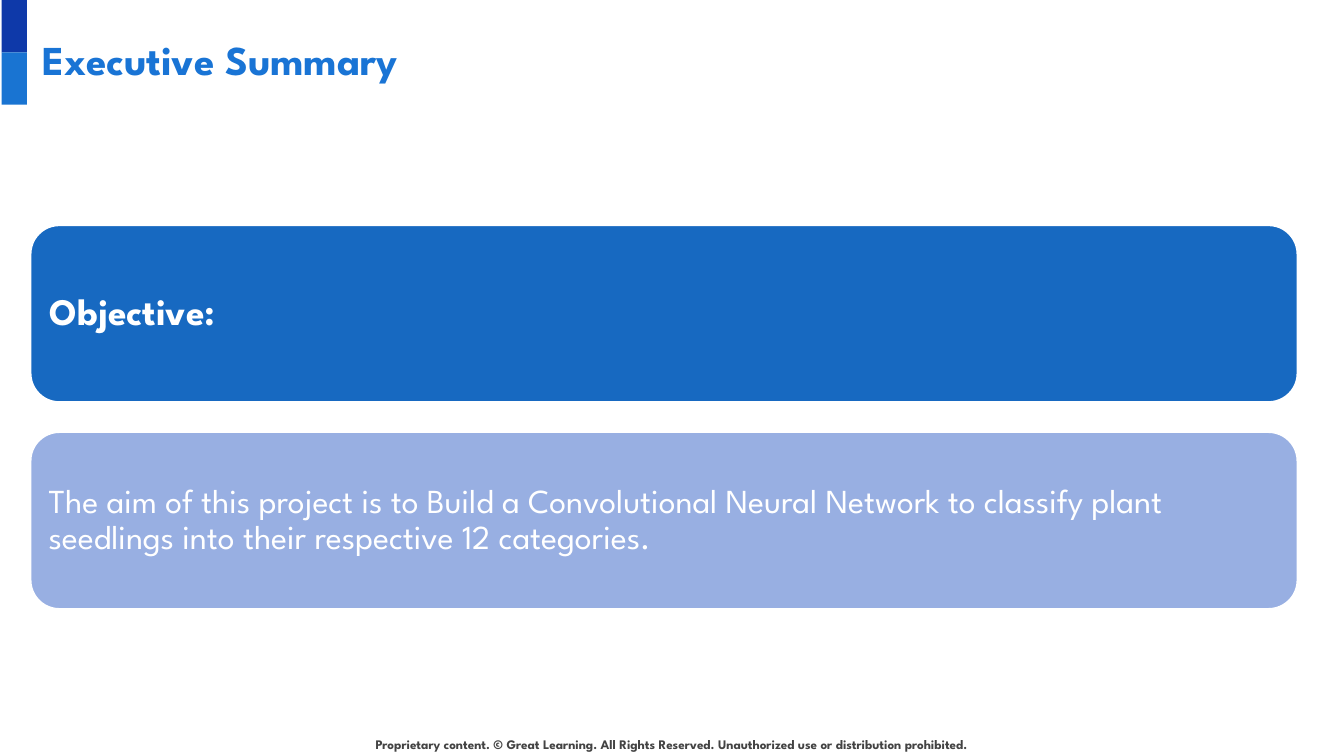
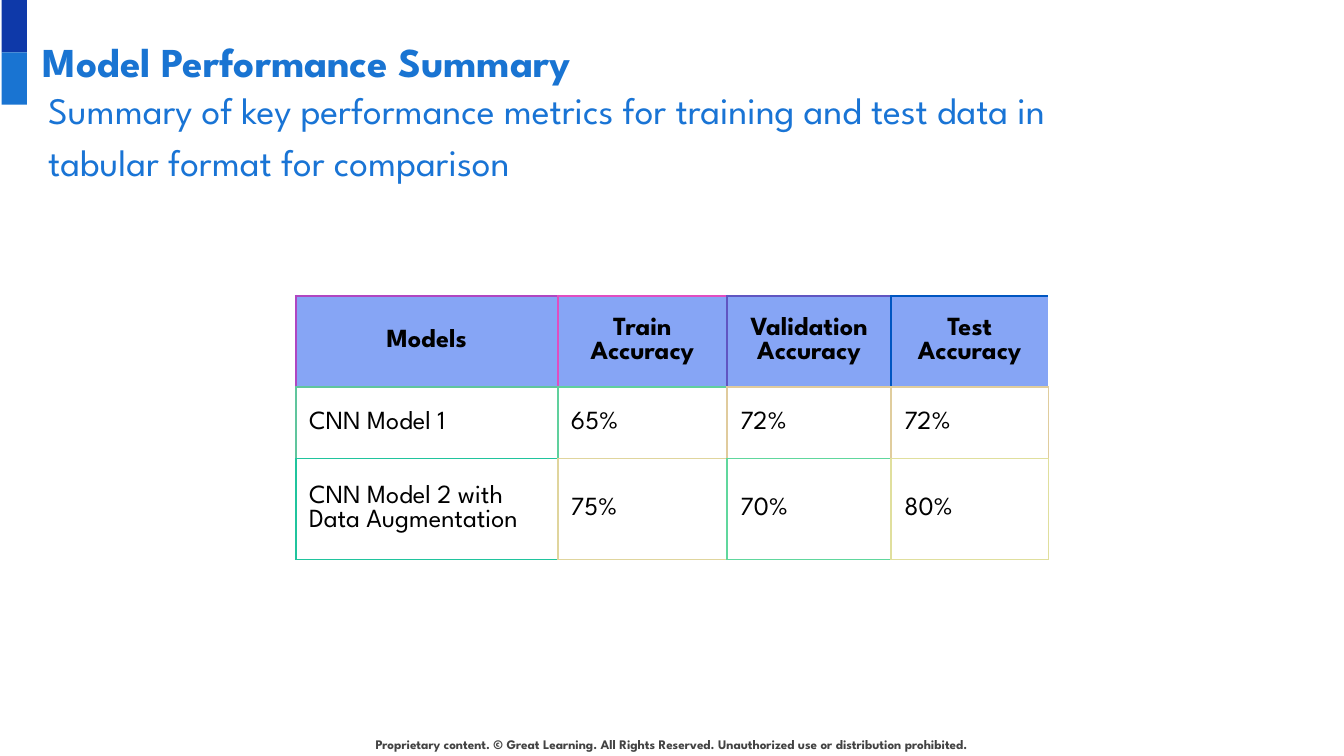
from lxml.etree import SubElement
from pptx import Presentation
from pptx.dml.color import RGBColor
from pptx.enum.shapes import MSO_SHAPE
from pptx.enum.text import MSO_ANCHOR, MSO_AUTO_SIZE, PP_ALIGN
from pptx.oxml.ns import qn
from pptx.util import Cm, Pt

# Content
SUMMARY_TITLE = "Executive Summary"
SUMMARY_CARDS = [
    # text, fill, size, bold, inset
    ("Objective:", "1769C1", 20, True, 0.2),
    ("The aim of this project is to Build a Convolutional Neural Network to "
     "classify plant seedlings into their respective 12 categories.",
     "98AFE2", 18, False, 0.18),
]
PERFORMANCE_TITLE = "Model Performance Summary"
PERFORMANCE_INTRO = ("Summary of key performance metrics for training and test "
                     "data in tabular format for comparison")
PERFORMANCE_ROWS = [
    ("Models", "Train Accuracy", "Validation Accuracy", "Test Accuracy"),
    ("CNN Model 1", "65%", "72%", "72%"),
    ("CNN Model 2 with Data Augmentation", "75%", "70%", "80%"),
]
FOOTER = ("Proprietary content. © Great Learning. All Rights Reserved. "
          "Unauthorized use or distribution prohibited.")

# Shared style
FONT = "League Spartan"
TITLE_BLUE, BAND_BLUE, NAVY = "1974D5", "1974D2", "0E39A9"
WHITE, BLACK, GREY, HEADER_FILL = "FFFFFF", "000000", "434343", "86A5F5"
INSET = 0.25

# Each cell owns the colour of its left and top edges
EDGE_COLOURS = [
    ("B046C1", "E04DC1", "6055C1", "0056C1"),
    ("60C59D", "60D09D", "E0CB9D", "E0CD9D"),
    ("20C49D", "E0D59D", "60D79D", "E0DF9D"),
]
COLUMN_WIDTHS = (4.95, 3.2, 3.1, 2.97)
ROW_HEIGHTS = (1.73, 1.35, 1.9)


def colour(value):
    return RGBColor.from_string(value)


def place(box, left, top, width, height):
    box.left, box.top = Cm(left), Cm(top)
    box.width, box.height = Cm(width), Cm(height)


def write(frame, text, size, hue, bold=False, align=PP_ALIGN.LEFT, spacing=None):
    para = frame.paragraphs[0]
    para.alignment = align
    if spacing:
        para.line_spacing = spacing
    span = para.add_run()
    span.text = text
    span.font.name = FONT
    span.font.size = Pt(size)
    span.font.bold = bold
    span.font.color.rgb = colour(hue)
    return para


def set_frame(frame, inset=INSET, anchor=MSO_ANCHOR.TOP):
    frame.word_wrap = True
    frame.auto_size = MSO_AUTO_SIZE.NONE
    frame.vertical_anchor = anchor
    frame.margin_left = frame.margin_right = Cm(inset)
    frame.margin_top = frame.margin_bottom = Cm(inset)
    return frame


def add_block(page, kind, area, fill, line=None):
    block = page.shapes.add_shape(kind, *map(Cm, area))
    block.shadow.inherit = False
    block.fill.solid()
    block.fill.fore_color.rgb = colour(fill)
    if line:
        block.line.color.rgb = colour(line)
        block.line.width = Pt(2)
    else:
        block.line.fill.background()
    return block


def add_text(page, area, inset=INSET, anchor=MSO_ANCHOR.TOP):
    box = page.shapes.add_textbox(*map(Cm, area))
    return set_frame(box.text_frame, inset, anchor)


def add_page(deck, layout, title, hue, title_top):
    page = deck.slides.add_slide(deck.slide_layouts.get_by_name(layout))
    # Footer and the two corner bands
    write(add_text(page, (6.2, 13.67, 12.98, 0.76)), FOOTER, 7, GREY, True,
          PP_ALIGN.CENTER, 1.02)
    for index, fill in enumerate((NAVY, BAND_BLUE)):
        add_block(page, MSO_SHAPE.RECTANGLE, (0.03, index * 0.99, 0.48, 0.99), fill)
    # Title
    place(page.shapes.title, 0.56, title_top, 23.67, 1.6)
    write(set_frame(page.shapes.title.text_frame), title, 22, hue, True)
    return page


def set_edge(cell, side, hue, width):
    edge = SubElement(cell._tc.get_or_add_tcPr(), qn("a:" + side),
                      w=str(Pt(width)))
    if hue is None:
        SubElement(edge, qn("a:noFill"))
    else:
        fill = SubElement(edge, qn("a:solidFill"))
        SubElement(fill, qn("a:srgbClr"), val=hue)


def set_edges(cell, row, column):
    own = EDGE_COLOURS[row][column]
    last_row = row == len(ROW_HEIGHTS) - 1
    last_column = column == len(COLUMN_WIDTHS) - 1
    if not last_column:
        right = EDGE_COLOURS[row][column + 1], 1
    else:
        right = (own if row else None), 0.5
    bottom = (own, 0.5) if last_row else (EDGE_COLOURS[row + 1][column], 1)
    for side, edge in (("lnL", (own, 1)), ("lnR", right),
                       ("lnT", (own, 1)), ("lnB", bottom)):
        set_edge(cell, side, *edge)


def add_performance_table(page):
    table = page.shapes.add_table(
        len(ROW_HEIGHTS), len(COLUMN_WIDTHS), Cm(5.59), Cm(5.59),
        Cm(sum(COLUMN_WIDTHS)), Cm(sum(ROW_HEIGHTS))).table
    table.horz_banding = False
    for column, width in zip(table.columns, COLUMN_WIDTHS):
        column.width = Cm(width)
    for row, height in zip(table.rows, ROW_HEIGHTS):
        row.height = Cm(height)
    for row, texts in enumerate(PERFORMANCE_ROWS):
        header = row == 0
        for column, text in enumerate(texts):
            cell = table.cell(row, column)
            cell.vertical_anchor = MSO_ANCHOR.MIDDLE
            cell.margin_left = cell.margin_right = Cm(INSET)
            cell.margin_top = cell.margin_bottom = Cm(0.03)
            set_edges(cell, row, column)
            if header:
                cell.fill.solid()
                cell.fill.fore_color.rgb = colour(HEADER_FILL)
            else:
                cell.fill.background()
            write(cell.text_frame, text, 14, BLACK, header,
                  PP_ALIGN.CENTER if header else PP_ALIGN.LEFT)


def build_summary(deck):
    page = add_page(deck, "Title Only", SUMMARY_TITLE, TITLE_BLUE, 0.41)
    for index, (text, fill, size, bold, inset) in enumerate(SUMMARY_CARDS):
        top = 4.24 + index * 3.91
        add_block(page, MSO_SHAPE.ROUNDED_RECTANGLE, (0.56, top, 23.98, 3.38),
                  fill, WHITE)
        frame = add_text(page, (0.74, top + 0.17, 23.64, 3.04), inset,
                         MSO_ANCHOR.MIDDLE)
        write(frame, text, size, WHITE, bold, spacing=0.9)


def build_performance(deck):
    page = add_page(deck, "Title and Content", PERFORMANCE_TITLE, BAND_BLUE, 0.43)
    # Introduction without a bullet
    body = page.placeholders[1]
    place(body, 0.28, 1.27, 21.67, 2.26)
    para = write(set_frame(body.text_frame), PERFORMANCE_INTRO, 20, TITLE_BLUE,
                 spacing=1.15)
    para.space_before = Pt(0)
    properties = para._p.get_or_add_pPr()
    properties.set("marL", str(Cm(0.38)))
    properties.set("indent", "0")
    SubElement(properties, qn("a:buNone"))
    add_performance_table(page)


def main():
    deck = Presentation()
    deck.slide_width, deck.slide_height = Cm(25.4), Cm(14.29)
    build_summary(deck)
    build_performance(deck)
    deck.save("out.pptx")


if __name__ == "__main__":
    main()
